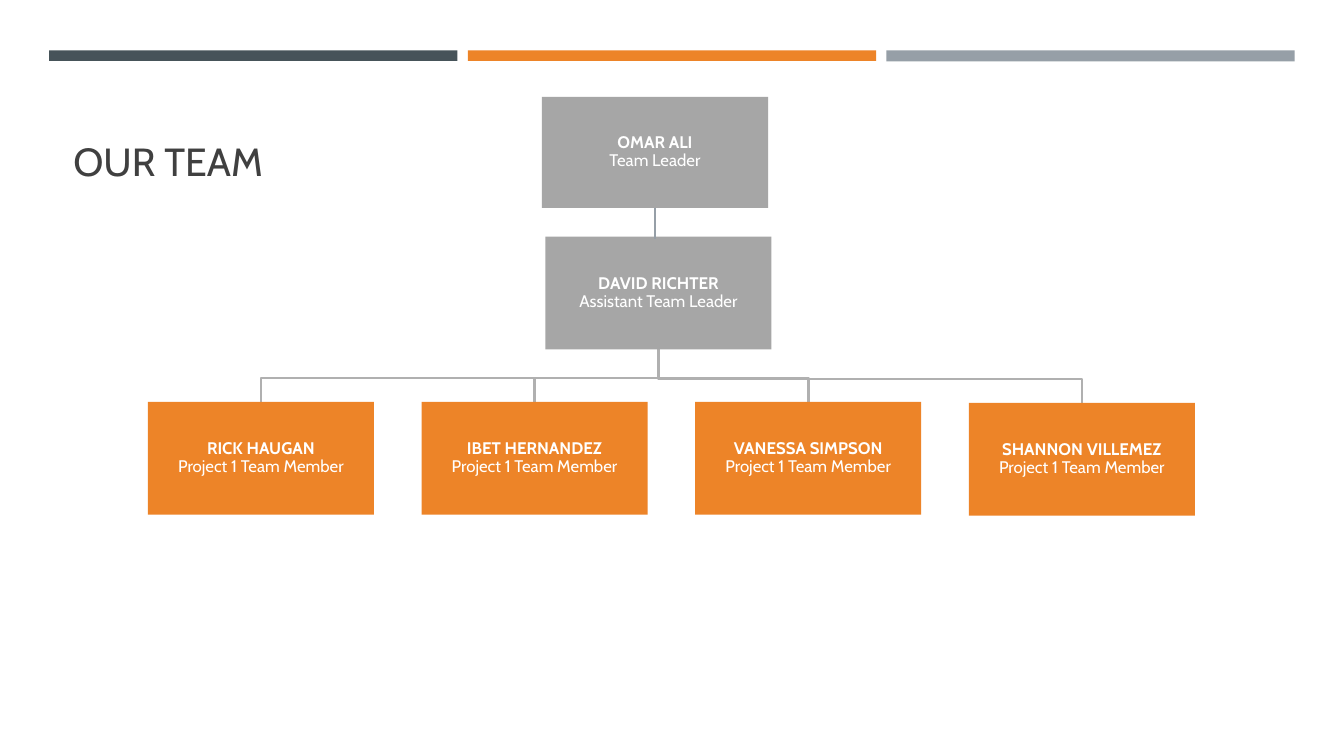
from dataclasses import dataclass

from lxml import etree
from pptx import Presentation
from pptx.dml.color import RGBColor
from pptx.enum.shapes import MSO_CONNECTOR, MSO_SHAPE
from pptx.enum.text import MSO_ANCHOR, PP_ALIGN
from pptx.oxml.ns import qn
from pptx.shapes.autoshape import Shape
from pptx.slide import Slide
from pptx.util import Inches, Pt

RECTANGLE = MSO_SHAPE.RECTANGLE
STRAIGHT = MSO_CONNECTOR.STRAIGHT
MIDDLE, BOTTOM = MSO_ANCHOR.MIDDLE, MSO_ANCHOR.BOTTOM
CENTER = PP_ALIGN.CENTER
BOTTOM_SIDE = 2

SLIDE_WIDTH, SLIDE_HEIGHT = Inches(13.333), Inches(7.5)
COLUMN, ROW = SLIDE_WIDTH / 100, SLIDE_HEIGHT / 100
FONT = "Cabin"
SLATE, ORANGE, STEEL = "465359", "ED8428", "969FA7"
GRAY, LINE_GRAY, INK, WHITE = "A6A6A6", "B0B0B0", "404040", "FFFFFF"
LINE_WIDTH = Pt(1.75)
CARD_WIDTH, CARD_HEIGHT = 16.82, 14.93
BRANCH_RISE = 3.15  # rows between a member's card and its branch line


@dataclass(frozen=True)
class Block:
    """A filled rectangle, placed in columns and rows of the slide grid."""
    left: float
    top: float
    width: float
    height: float
    fill: str

    @property
    def center(self) -> float:
        return self.left + self.width / 2

    @property
    def bottom(self) -> float:
        return self.top + self.height


@dataclass(frozen=True)
class Person:
    name: str
    role: str
    block: Block


BARS = [
    Block(3.66 + 31.15 * index, 6.67, 30.38, height, fill)
    for index, (fill, height) in enumerate([(SLATE, 1.37), (ORANGE, 1.37), (STEEL, 1.47)])
]
LEADER = Person("OMAR ALI", "Team Leader", Block(40.33, 12.83, CARD_WIDTH, 14.67, GRAY))
ASSISTANT = Person("DAVID RICHTER", "Assistant Team Leader",
                   Block(40.59, 31.3, CARD_WIDTH, CARD_HEIGHT, GRAY))
MEMBERS = [
    Person(name, "Project 1 Team Member",
           Block(11.01 + 20.36 * index, top, CARD_WIDTH, CARD_HEIGHT, ORANGE))
    for index, (name, top) in enumerate([
        ("RICK HAUGAN", 53.15), ("IBET HERNANDEZ", 53.15),
        ("VANESSA SIMPSON", 53.15), ("SHANNON VILLEMEZ", 53.28),
    ])
]


def color(value: str) -> RGBColor:
    return RGBColor.from_string(value)


def across(columns: float) -> int:
    return round(columns * COLUMN)


def down(rows: float) -> int:
    return round(rows * ROW)


def set_values(target: object, values: dict) -> None:
    for name, value in values.items():
        setattr(target, name, value)


def add_span(para, text: str, size: float, fill: str, bold: bool = False) -> None:
    span = para.add_run()
    span.text = text
    set_values(span.font, {"name": FONT, "size": Pt(size), "bold": bold})
    span.font.color.rgb = color(fill)


def add_block(slide: Slide, block: Block) -> Shape:
    box = slide.shapes.add_shape(RECTANGLE, across(block.left), down(block.top),
                                 across(block.width), down(block.height))
    box.shadow.inherit = False
    box.fill.solid()
    box.fill.fore_color.rgb = color(block.fill)
    box.line.fill.background()
    return box


def add_title(slide: Slide, text: str) -> None:
    box = slide.shapes.add_textbox(across(4.73), down(10.67), across(90.45), down(14.4))
    set_values(box.text_frame, {"word_wrap": True, "vertical_anchor": BOTTOM})
    add_span(box.text_frame.paragraphs[0], text, 28, INK)


def add_card(slide: Slide, person: Person) -> Shape:
    box = add_block(slide, person.block)
    inset = Inches(0.01)
    set_values(box.text_frame, {
        "word_wrap": True, "vertical_anchor": MIDDLE,
        "margin_left": inset, "margin_right": inset,
        "margin_top": inset, "margin_bottom": inset,
    })
    para = box.text_frame.paragraphs[0]
    set_values(para, {"alignment": CENTER, "line_spacing": 0.9, "space_after": Pt(4.2)})
    add_span(para, person.name, 12, WHITE, bold=True)
    para.add_line_break()
    add_span(para, person.role, 12, WHITE)
    return box


def add_branch(slide: Slide, parent: Block, child: Block) -> None:
    """Draw the elbow line from the parent's bottom to the child's top."""
    bend = child.top - BRANCH_RISE
    points = [(parent.center, parent.bottom), (parent.center, bend),
              (child.center, bend), (child.center, child.top)]
    start, *rest = [(across(x), down(y)) for x, y in points]
    builder = slide.shapes.build_freeform(*start)
    builder.add_line_segments(rest, close=False)
    branch = builder.convert_to_shape()
    branch.shadow.inherit = False
    branch.fill.background()
    branch.line.color.rgb = color(LINE_GRAY)
    branch.line.width = LINE_WIDTH


def add_leader_link(slide: Slide, leader_box: Shape) -> None:
    """Drop a vertical line from the leader's card to the assistant's."""
    center = across(LEADER.block.center)
    link = slide.shapes.add_connector(STRAIGHT, center, down(LEADER.block.bottom),
                                      center, down(ASSISTANT.block.top + 0.3))
    link.begin_connect(leader_box, BOTTOM_SIDE)
    link.line.color.rgb = color(STEEL)
    link.line.width = LINE_WIDTH
    etree.SubElement(link._element.spPr, qn("a:effectLst"))


def main() -> None:
    deck = Presentation()
    set_values(deck, {"slide_width": SLIDE_WIDTH, "slide_height": SLIDE_HEIGHT})
    page = deck.slides.add_slide(deck.slide_layouts[6])
    for bar in BARS:
        add_block(page, bar)
    add_title(page, "OUR TEAM")
    for member in reversed(MEMBERS):
        add_branch(page, ASSISTANT.block, member.block)
    for person in [ASSISTANT, *MEMBERS]:
        add_card(page, person)
    add_leader_link(page, add_card(page, LEADER))
    deck.save("out.pptx")


if __name__ == "__main__":
    main()
